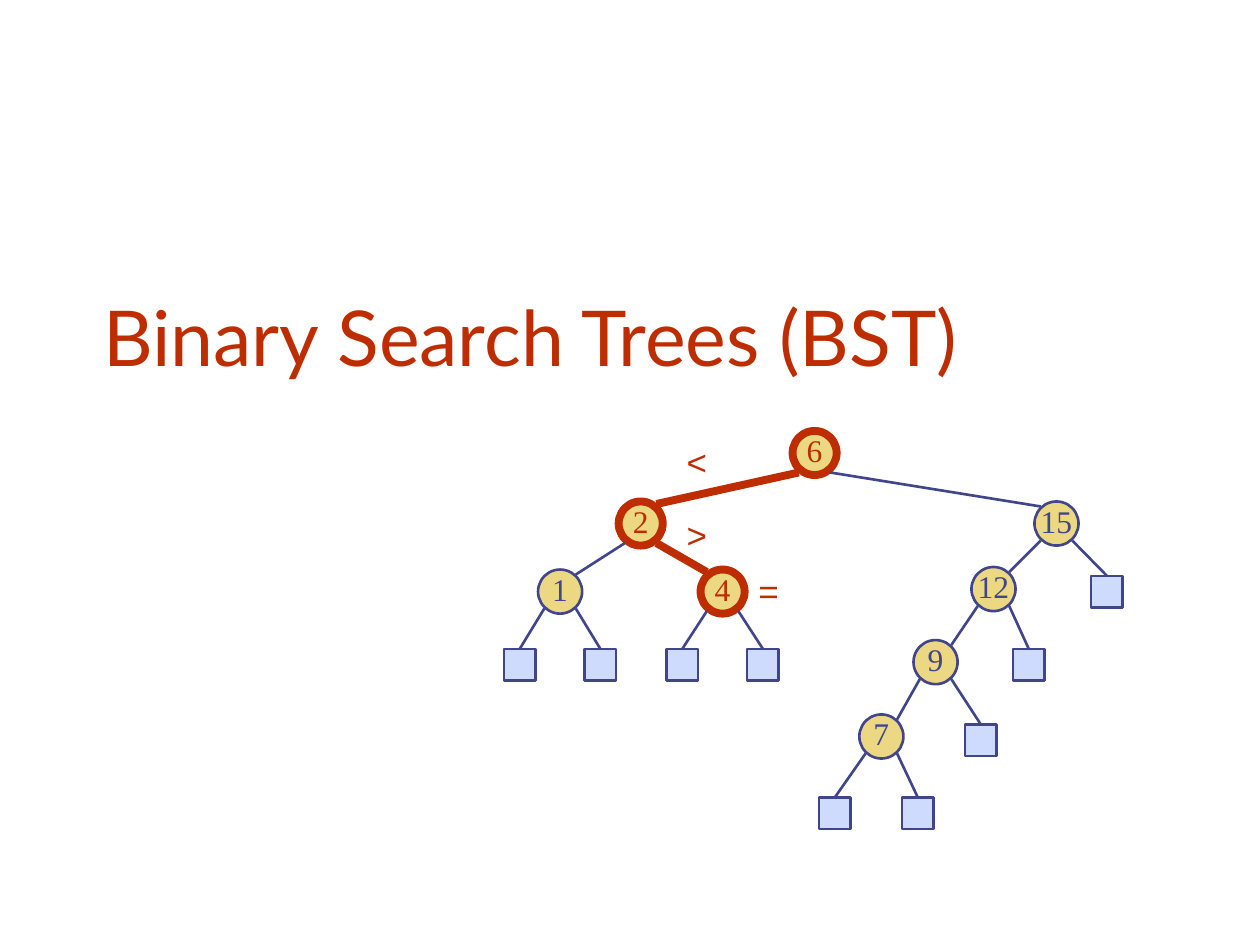
from dataclasses import dataclass
from typing import Optional

from lxml.etree import SubElement
from pptx import Presentation
from pptx.dml.color import RGBColor
from pptx.enum.shapes import MSO_CONNECTOR, MSO_SHAPE
from pptx.enum.text import MSO_ANCHOR, PP_ALIGN
from pptx.oxml.ns import qn
from pptx.util import Inches, Pt

SLIDE_WIDTH, SLIDE_HEIGHT = Inches(10), Inches(7.5)
COLUMNS, ROWS = 100, 75
RED, NAVY, GOLD, PALE_BLUE = "BE2D00", "40458C", "ECD882", "CFDBFD"
KEY_SIZE, LEAF_SIZE = 3.5, 2.5
EDGE_REACH, PLAIN_DROP, PATH_DROP = 1.25, 1.35, 1.55


@dataclass
class Node:
    """A tree node centred on a grid point; a node without a key is a leaf."""
    column: float
    row: float
    key: str = ""
    on_path: bool = False
    left: Optional["Node"] = None
    right: Optional["Node"] = None


TREE = Node(
    64.65, 35.95, "6", True,
    Node(50.85, 41.55, "2", True,
         Node(44.45, 46.95, "1", False, Node(41.25, 52.75), Node(47.65, 52.75)),
         Node(57.35, 46.95, "4", True, Node(54.15, 52.75), Node(60.55, 52.75))),
    Node(83.85, 41.55, "15", False,
         Node(78.85, 46.75, "12", False,
              Node(74.25, 52.55, "9", False,
                   Node(69.95, 58.45, "7", False,
                        Node(66.25, 64.55), Node(72.85, 64.55)),
                   Node(77.85, 58.75)),
              Node(81.65, 52.75)),
         Node(87.85, 46.95)))

COMPARISONS = [("<", 53.5, 34.5), (">", 53.5, 40.3), ("=", 59.2, 44.7)]


def x(columns):
    """Turn grid columns into a length."""
    return round(SLIDE_WIDTH * columns / COLUMNS)


def y(rows):
    """Turn grid rows into a length."""
    return round(SLIDE_HEIGHT * rows / ROWS)


def color(hex_string):
    """Turn a hex string into a colour."""
    return RGBColor.from_string(hex_string)


def style_line(line, on_path):
    """Draw a line thick and red on the search path, thin and navy elsewhere."""
    line.color.rgb = color(RED if on_path else NAVY)
    line.width = Pt(4.5 if on_path else 1.5)


def write(shape, text, font_name, size, hex_string):
    """Put one formatted line of text in a shape and return its frame."""
    text_frame = shape.text_frame
    text_frame.text = text
    font = text_frame.paragraphs[0].runs[0].font
    font.name, font.size, font.color.rgb = font_name, Pt(size), color(hex_string)
    return text_frame


def add_label(slide, text, left, top, width, height, font_name, size):
    """Add a red text box and return its frame."""
    box = slide.shapes.add_textbox(x(left), y(top), x(width), y(height))
    return write(box, text, font_name, size, RED)


def add_node(slide, node):
    """Add a circle with its key, or a square for a leaf."""
    size = KEY_SIZE if node.key else LEAF_SIZE
    kind = MSO_SHAPE.OVAL if node.key else MSO_SHAPE.RECTANGLE
    shape = slide.shapes.add_shape(
        kind, x(node.column - size / 2), y(node.row - size / 2), x(size), y(size))
    shape.shadow.inherit = False
    shape.fill.solid()
    shape.fill.fore_color.rgb = color(GOLD if node.key else PALE_BLUE)
    style_line(shape.line, node.on_path)
    if node.key:
        text_frame = write(shape, node.key, "Times New Roman", 18,
                           RED if node.on_path else NAVY)
        text_frame.margin_left = text_frame.margin_right = text_frame.margin_top = 0
        text_frame.margin_bottom = y(0.5)
        text_frame.vertical_anchor = MSO_ANCHOR.MIDDLE
        text_frame.word_wrap = False
        text_frame.paragraphs[0].alignment = PP_ALIGN.CENTER
    return shape


def add_edge(slide, parent, child, child_shape):
    """Join the lower side of a parent to the upper side of its child."""
    side = -1 if child.column < parent.column else 1
    parent_drop = PATH_DROP if parent.on_path else PLAIN_DROP
    child_drop = PATH_DROP if child.on_path else PLAIN_DROP
    connector = slide.shapes.add_connector(
        MSO_CONNECTOR.STRAIGHT,
        x(parent.column + side * EDGE_REACH), y(parent.row + parent_drop),
        x(child.column - side * EDGE_REACH), y(child.row - child_drop))
    if not child.key:
        connector.end_connect(child_shape, 0)
    style_line(connector.line, parent.on_path and child.on_path)
    SubElement(connector._element.spPr, qn("a:effectLst"))


def add_tree(slide, node):
    """Add a node and everything below it, and return the node's shape."""
    shape = add_node(slide, node)
    for child in (node.left, node.right):
        if child:
            add_edge(slide, node, child, add_tree(slide, child))
    return shape


def main():
    """Build the title slide with its search tree."""
    presentation = Presentation()
    presentation.slide_width, presentation.slide_height = SLIDE_WIDTH, SLIDE_HEIGHT
    slide = presentation.slides.add_slide(presentation.slide_layouts[6])
    title = add_label(slide, "Binary Search Trees (BST)",
                      7.2, 18.3, 87.8, 12.5, "Lato", 44)
    title.word_wrap = True
    title.vertical_anchor = MSO_ANCHOR.BOTTOM
    add_tree(slide, TREE)
    for sign, left, top in COMPARISONS:
        label = add_label(slide, sign, left, top, 3.5, 4.3, "Arial", 20)
        label.word_wrap = False
    presentation.save("out.pptx")


if __name__ == "__main__":
    main()
